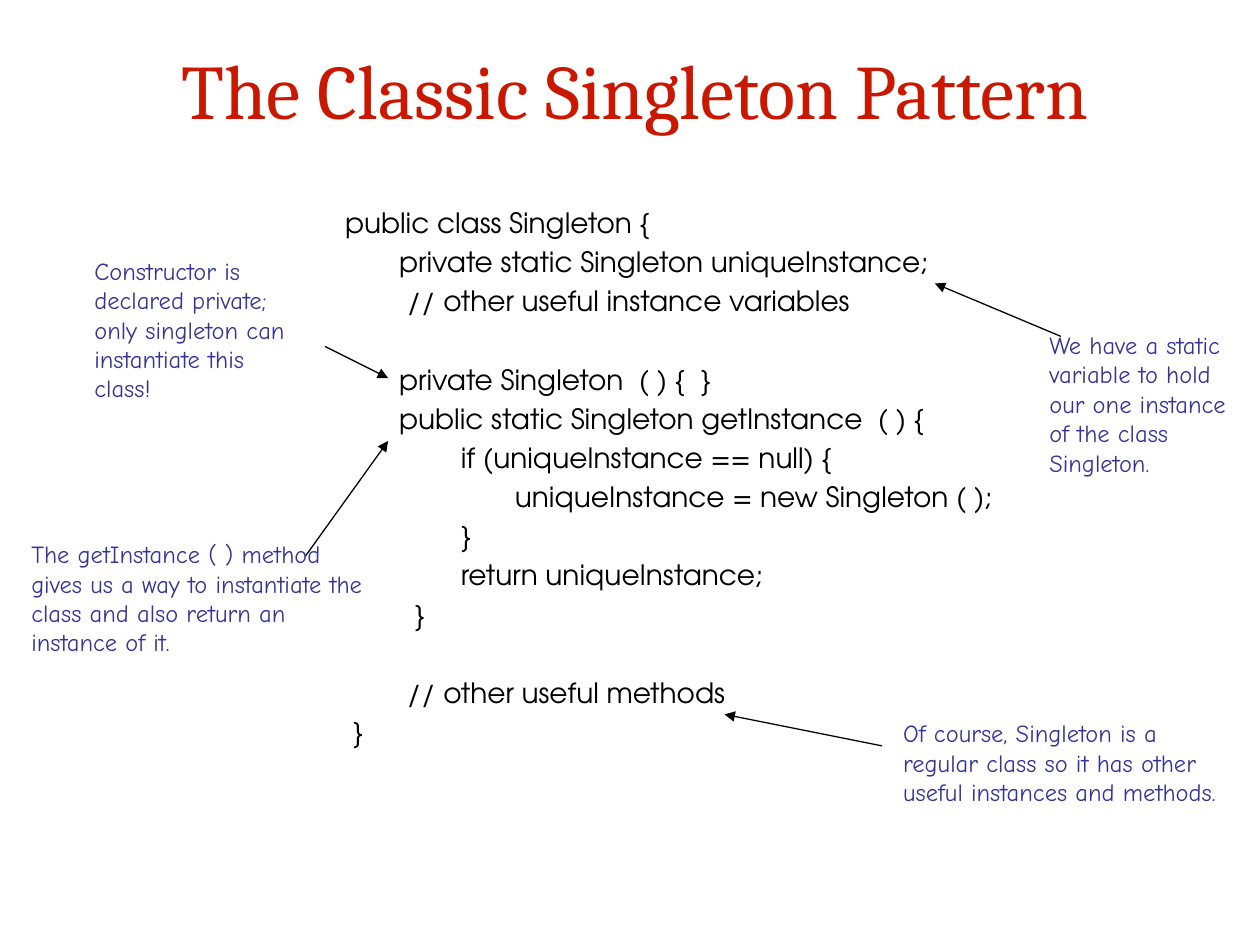
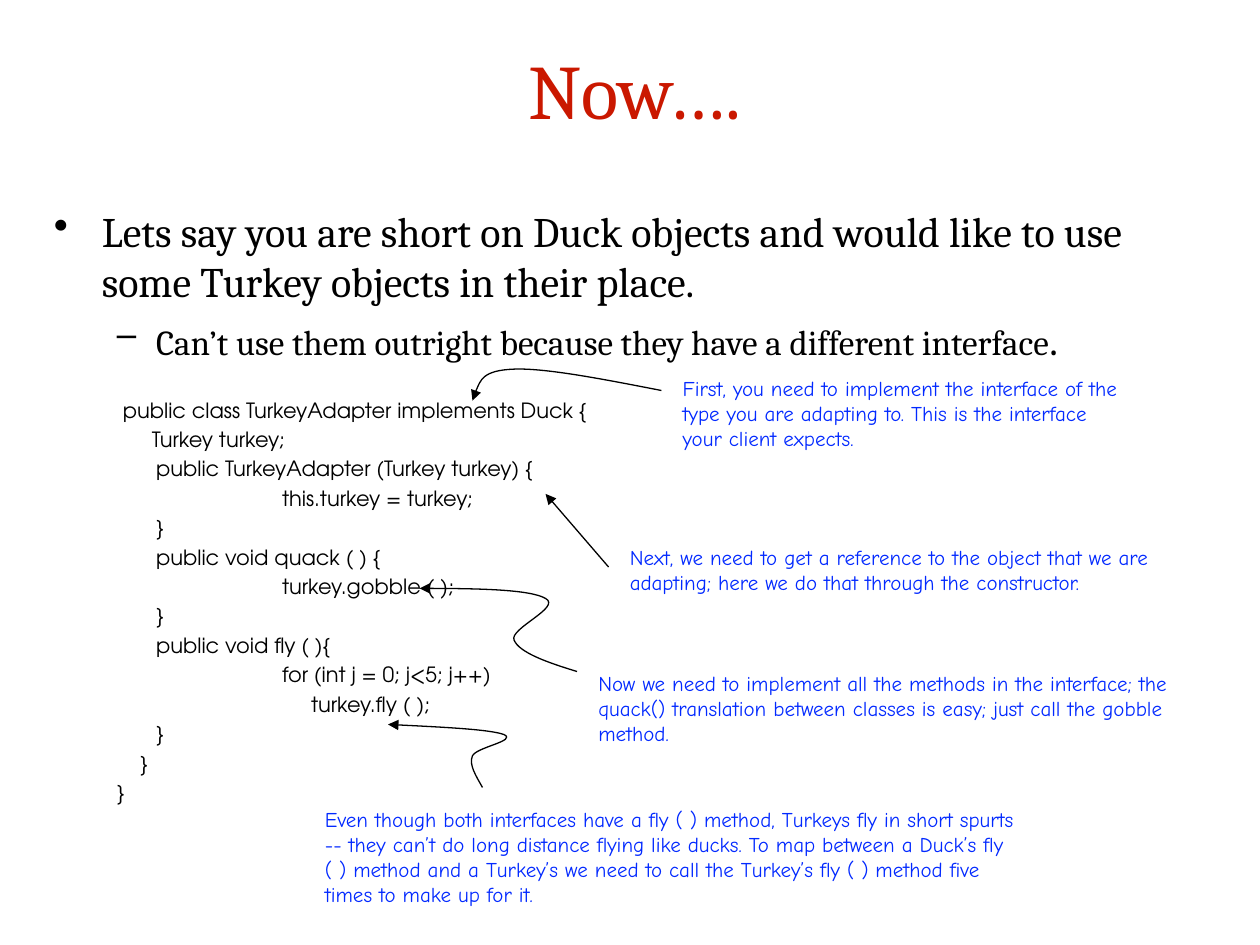
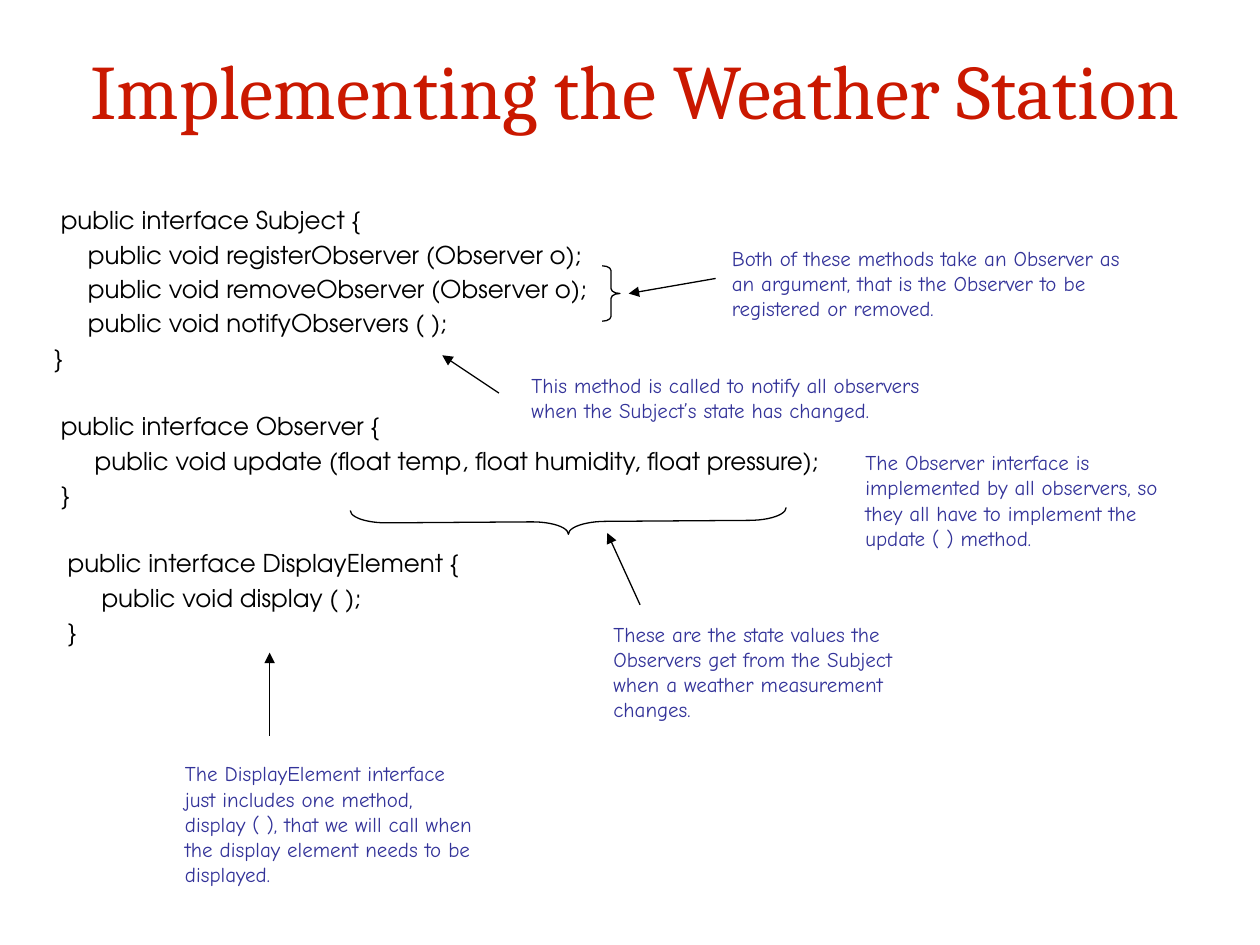
import lxml.etree
import pptx
import pptx.dml.color
import pptx.enum.shapes
import pptx.enum.text
import pptx.oxml.ns
import pptx.util

COLS, ROWS = 100, 75
INK = {"title": "CA1800", "text": "000000", "note": "333399", "bright": "0229FF"}
FONT = {"head": "Cambria", "code": "TeX Gyre Adventor", "note": "Comic Neue"}
LEAD = 0.2    # space before a line, as a share of its text size
BLANK = 1.6   # space before a line that follows an empty line
BODY = (3.3, 15.8, 94.2, 50.8)


def tag(parent, name, **attrs):
    return lxml.etree.SubElement(parent, pptx.oxml.ns.qn(name), **attrs)


class Deck:
    def __init__(self):
        self.prs = pptx.Presentation()
        self.prs.slide_width = pptx.util.Inches(10)
        self.prs.slide_height = pptx.util.Inches(7.5)
        self.unit = self.prs.slide_width / COLS
        self.slide = None

    def grid(self, *nums):
        return [round(num * self.unit) for num in nums]

    def page(self, title):
        self.slide = self.prs.slides.add_slide(self.prs.slide_layouts[6])
        frame = self.box((5, 0.8, 90.8, 12.5))
        frame.vertical_anchor = pptx.enum.text.MSO_ANCHOR.MIDDLE
        para = self.line(frame, title, 44, "head", "title")
        para.alignment = pptx.enum.text.PP_ALIGN.CENTER

    def box(self, area):
        frame = self.slide.shapes.add_textbox(*self.grid(*area)).text_frame
        frame.word_wrap = True
        return frame

    def style(self, run, size, font, ink):
        run.font.size = pptx.util.Pt(size)
        run.font.name = FONT[font]
        run.font.color.rgb = pptx.dml.color.RGBColor.from_string(INK[ink])

    def line(self, frame, text, size, font, ink="text", lead=0):
        """Write one paragraph; the first of a frame takes no space before."""
        para = frame.paragraphs[0]
        if para.text:
            para = frame.add_paragraph()
            para.space_before = pptx.util.Pt(round(lead * size, 1))
        para.text = text
        self.style(para.runs[0], size, font, ink)
        return para

    def indent(self, para, left, hang):
        props = para._p.get_or_add_pPr()
        left, hang = self.grid(left, hang)
        props.set("marL", str(left))
        props.set("indent", str(-hang))
        return props

    def bullet(self, frame, text, size, mark, left, hang):
        para = self.line(frame, text, size, "head", lead=LEAD)
        tag(self.indent(para, left, hang), "a:buChar", char=mark)
        return para

    def code(self, frame, rows, size, left=3.8, hang=3.8, lead=LEAD):
        """Leading tabs become indents; an empty row becomes a gap."""
        for row in rows:
            if not row:
                lead = BLANK
                continue
            text = row.lstrip("\t")
            depth = len(row) - len(text)
            para = self.line(frame, text, size, "code", lead=lead)
            if depth:
                self.indent(para, left + 10 * (depth - 1), 0)
            else:
                self.indent(para, left, hang)
            lead = LEAD

    def note(self, area, text, size=12, ink="note"):
        self.line(self.box(area), text, size, "note", ink)

    def stroke(self, shape, arrow=True):
        shape.line.color.rgb = pptx.dml.color.RGBColor.from_string(INK["text"])
        shape.line.width = pptx.util.Pt(0.75)
        if arrow:
            edge = shape.element.spPr.find(pptx.oxml.ns.qn("a:ln"))
            tag(edge, "a:tailEnd", type="triangle")

    def arrow(self, *ends):
        kind = pptx.enum.shapes.MSO_CONNECTOR.STRAIGHT
        link = self.slide.shapes.add_connector(kind, *self.grid(*ends))
        self.stroke(link)
        tag(link.element.spPr, "a:effectLst")

    def curve(self, start, *points):
        """Draw Bezier arcs: each three points are two handles and an end."""
        pen = self.slide.shapes.build_freeform(*self.grid(*start))
        pen.add_line_segments([self.grid(*point) for point in points], close=False)
        shape = pen.convert_to_shape()
        legs = list(shape.element.iter(pptx.oxml.ns.qn("a:lnTo")))
        track = legs[0].getparent()
        for first in range(0, len(legs), 3):
            arc = tag(track, "a:cubicBezTo")
            for leg in legs[first:first + 3]:
                arc.append(leg[0])
                track.remove(leg)
        shape.fill.background()
        shape.shadow.inherit = False
        self.stroke(shape)

    def brace(self, area, bend, turn=0):
        kind = pptx.enum.shapes.MSO_SHAPE.RIGHT_BRACE
        shape = self.slide.shapes.add_shape(kind, *self.grid(*area))
        shape.adjustments[0] = bend
        shape.adjustments[1] = 0.5
        shape.rotation = turn
        shape.fill.background()
        shape.shadow.inherit = False
        self.stroke(shape, arrow=False)


def single(deck):
    deck.page("The Classic Singleton Pattern")
    deck.code(deck.box((25.8, 15.8, 56.7, 50.8)), [
        " public class Singleton {",
        "        private static Singleton uniqueInstance;",
        "         // other useful instance variables",
        "",
        "        private Singleton  ( ) {  }",
        "        public static Singleton getInstance  ( ) {",
        "                if (uniqueInstance == null) {",
        "                       uniqueInstance = new Singleton ( );",
        "                }",
        "                return uniqueInstance;",
        "          }",
        "",
        "         // other useful methods",
        "  }",
    ], 16)
    # Notes and their arrows
    deck.arrow(84.2, 26.7, 74.2, 22.5)
    deck.note((82.3, 25.7, 17.7, 14.5), "We have a static variable to hold our one "
              "instance of the class Singleton.", 14)
    deck.arrow(25.8, 27.5, 30.8, 30)
    deck.note((6.5, 19.8, 18.5, 14.5), "Constructor is declared private; only "
              "singleton can instantiate this class!", 14)
    deck.arrow(24.2, 44.2, 30.8, 35)
    deck.note((1.5, 42.3, 29.3, 11.8), "The getInstance ( ) method gives us a way to "
              "instantiate the class and also return an instance of it.", 14)
    deck.arrow(70, 59.2, 57.5, 56.7)
    deck.note((70.7, 56.5, 27.7, 11.8), "Of course, Singleton is a regular class so it "
              "has other useful instances and methods.", 14)


def adapter(deck):
    deck.page("Now….")
    body = deck.box(BODY)
    deck.bullet(body, "Lets say you are short on Duck objects and would like to use "
                "some Turkey objects in their place.", 24, "•", 3.8, 3.8)
    para = deck.bullet(body, "Can’t use them outright because they have a different "
                       "interface", 20, "–", 8.1, 3.1)
    stop = para.add_run()
    stop.text = "."
    deck.style(stop, 24, "head", "text")
    deck.code(body, [
        "",
        " public class TurkeyAdapter implements Duck {",
        "      Turkey turkey;",
        "\tpublic TurkeyAdapter (Turkey turkey) {",
        "\t\tthis.turkey = turkey;",
        "\t}",
        "\tpublic void quack ( ) {",
        "\t\tturkey.gobble ( );",
        "\t}",
        "\tpublic void fly ( ){",
        "\t\tfor (int j = 0; j<5; j++)",
        "\t\t     turkey.fly ( );",
        "\t}",
        "    }",
        "}",
    ], 12, 8.1, 3.1)
    # Notes and their arrows
    deck.curve((52.5, 31), (47.9, 30.1), (43.3, 29.2), (40.8, 29.3),
               (38.3, 29.4), (37.9, 30.6), (37.5, 31.8))
    deck.note((53.2, 29.3, 37.7, 8), "First, you need to implement the interface of the "
              "type you are adapting to. This is the interface your client expects.",
              ink="bright")
    deck.arrow(48.3, 45, 43.3, 39.2)
    deck.note((49, 42.7, 46, 5.7), "Next, we need to get a reference to the object that "
              "we are adapting; here we do that through the constructor.", ink="bright")
    deck.curve((45.8, 53.3), (43.5, 52.6), (41.2, 51.8), (40.8, 50.8),
               (40.4, 49.9), (44.6, 48.2), (43.3, 47.5),
               (42.1, 46.8), (37.7, 46.7), (33.3, 46.7))
    deck.note((46.5, 52.7, 47.7, 8), "Now we need to implement all the methods in the "
              "interface; the quack() translation between classes is easy; just call "
              "the gobble method.", ink="bright")
    deck.curve((38.3, 62.5), (37.8, 61.6), (37.2, 60.7), (37.5, 60),
               (37.8, 59.3), (41.1, 58.8), (40, 58.3),
               (38.9, 57.9), (34.9, 57.7), (30.8, 57.5))
    deck.note((24.8, 63.5, 56.8, 10.3), "Even though both interfaces have a fly ( ) "
              "method, Turkeys fly in short spurts -- they can’t do long distance flying "
              "like ducks. To map between a Duck’s fly ( ) method and a Turkey’s we need "
              "to call the Turkey’s fly ( ) method five times to make up for it.",
              ink="bright")


def weather(deck):
    deck.page("Implementing the Weather Station")
    deck.code(deck.box(BODY), [
        " public interface Subject {",
        "     public void registerObserver (Observer o);",
        "     public void removeObserver (Observer o);",
        "     public void notifyObservers ( );",
        "}",
        "",
        " public interface Observer {",
        "      public void update (float temp, float humidity, float pressure);",
        " }",
        "",
        "  public interface DisplayElement {",
        "       public void display ( );",
        "  }",
    ], 14)
    # Subject
    deck.brace((47.8, 21.1, 1.4, 4.4), 0.27)
    deck.note((57.1, 19, 34.7, 8), "Both of these methods take an Observer as an "
              "argument, that is the Observer to be registered or removed.")
    deck.arrow(56.8, 22.1, 49.9, 23.3)
    deck.arrow(39.6, 31.2, 35.1, 28.2)
    deck.note((41.2, 29.1, 34.7, 8), "This method is called to notify all observers when "
              "the Subject’s state has changed.")
    # Observer
    deck.note((67.7, 35.2, 25.4, 10.3), "The Observer interface is implemented by all "
              "observers, so they all have to implement the update ( ) method.")
    deck.brace((44.1, 24.1, 2, 34.6), 1.46, 89.6)
    deck.arrow(50.8, 48, 48.2, 42.3)
    deck.note((47.7, 48.8, 25.4, 10.3), "These are the state values the Observers get "
              "from the Subject when a weather measurement changes.")
    # Display element
    deck.arrow(21.4, 58.4, 21.4, 51.8)
    deck.note((13.7, 59.9, 25.4, 12.6), "The DisplayElement interface just includes one "
              "method, display ( ), that we will call when the display element needs to "
              "be displayed.")


def main():
    deck = Deck()
    for build in (single, adapter, weather):
        build(deck)
    deck.prs.save("out.pptx")


if __name__ == "__main__":
    main()
